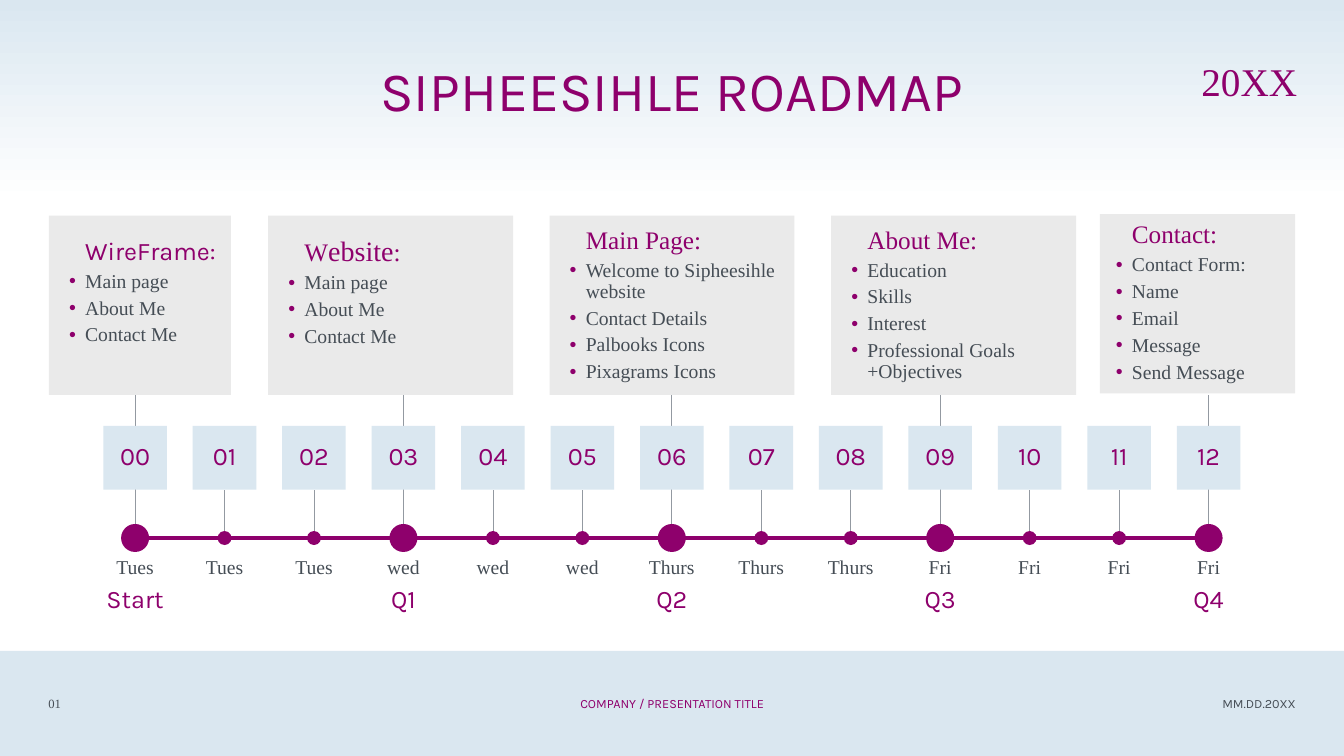
import pptx
import pptx.dml.color
import pptx.enum.shapes
import pptx.enum.text
import pptx.oxml.ns
import pptx.util
from lxml import etree

Pt = pptx.util.Pt
RGB = pptx.dml.color.RGBColor
SHAPE = pptx.enum.shapes.MSO_SHAPE
ALIGN = pptx.enum.text.PP_ALIGN
qn = pptx.oxml.ns.qn

PLUM = RGB(0x8E, 0x00, 0x6C)
SLATE = RGB(0x45, 0x4D, 0x55)
MIST = RGB(0xDA, 0xE7, 0xF0)
SILVER = RGB(0xEA, 0xEA, 0xEA)
STEEL = RGB(0x93, 0x99, 0xA1)
WHITE = RGB(0xFF, 0xFF, 0xFF)
SANS, SERIF = "Karla", "Times New Roman"

WIDTH, HEIGHT = 960, 540
INDENT = 11.5
STEPS = 12
DAYS = ["Tues"] * 3 + ["wed"] * 3 + ["Thurs"] * 3 + ["Fri"] * 4
QUARTERS = ["Start", "Q1", "Q2", "Q3", "Q4"]

# Box (left, top, width, height), heading runs (text, size, font), items,
# left inset and bottom inset
CARDS = [
    ((34.9, 154, 130, 128), [("WireFrame:", 18, SANS)],
     ["Main page", "About Me", "Contact Me"], 14.4, 22),
    ((191.5, 154, 175, 128),
     [("W", 18, SERIF), ("ebsite", 20, SERIF), (":", 18, SERIF)],
     ["Main page", "About Me", "Contact Me"], 14.4, 22),
    ((392.5, 154, 175, 128), [("Main Page:", 18, SERIF)],
     ["Welcome to Sipheesihle website", "Contact Details",
      "Palbooks Icons", "Pixagrams Icons"], 14.4, 3.6),
    ((593.7, 154, 175, 128), [("About Me:", 18, SERIF)],
     ["Education", "Skills", "Interest", "Professional Goals +Objectives"],
     14.4, 3.6),
    ((785.7, 153, 139.5, 128), [("Contact:", 18, SERIF)],
     ["Contact Form:", "Name", "Email", "Message", "Send Message"],
     11.3, 5),
]


def place(part, box):
    """Move a shape or placeholder to a box given in points."""
    part.left, part.top, part.width, part.height = map(Pt, box)


def prepare(part, insets=(0, 0, 0, 0)):
    """Make the text frame wrap, centre vertically and use these insets."""
    frame = part.text_frame
    frame.word_wrap = True
    frame.auto_size = pptx.enum.text.MSO_AUTO_SIZE.NONE
    frame.vertical_anchor = pptx.enum.text.MSO_ANCHOR.MIDDLE
    (frame.margin_left, frame.margin_top,
     frame.margin_right, frame.margin_bottom) = map(Pt, insets)
    return frame


def write(paragraph, text, size=18, font=SANS, color=PLUM,
          align=ALIGN.CENTER, before=0, spacing=0.9):
    """Add a formatted run to a paragraph."""
    paragraph.alignment = align
    paragraph.line_spacing = spacing
    paragraph.space_before = Pt(before)
    run = paragraph.add_run()
    run.text = text
    run.font.size, run.font.name = Pt(size), font
    run.font.bold = False
    run.font.color.rgb = color


def label(slide, box, text, insets=(0, 0, 0, 0), **style):
    """Add a text box holding one line."""
    holder = slide.shapes.add_textbox(*map(Pt, box))
    write(prepare(holder, insets).paragraphs[0], text, **style)


def block(slide, kind, box, color):
    """Add a flat preset shape without outline."""
    part = slide.shapes.add_shape(kind, *map(Pt, box))
    part.shadow.inherit = False
    part.line.fill.background()
    part.fill.solid()
    part.fill.fore_color.rgb = color
    return part


def rule(slide, start, end, color, weight):
    """Draw a straight line without shadow."""
    line = slide.shapes.add_connector(
        pptx.enum.shapes.MSO_CONNECTOR.STRAIGHT, *map(Pt, start + end))
    line.line.color.rgb, line.line.width = color, Pt(weight)
    etree.SubElement(line._element.spPr, qn("a:effectLst"))


def indent(paragraph, bulleted):
    """Set the hanging indent, with a plum bullet if asked."""
    props = paragraph._p.get_or_add_pPr()
    props.set("marL", str(Pt(INDENT)))
    props.set("indent", str(-Pt(INDENT) if bulleted else 0))
    if not bulleted:
        etree.SubElement(props, qn("a:buNone"))
        return
    tint = etree.SubElement(props, qn("a:buClr"))
    etree.SubElement(tint, qn("a:srgbClr"), val=str(PLUM))
    etree.SubElement(props, qn("a:buFont"), typeface="Arial")
    etree.SubElement(props, qn("a:buChar"), char="\u2022")


def header(slide, box):
    """Fill the gradient band with the title and the year."""
    left, top, width, height = box
    band = block(slide, SHAPE.RECTANGLE, box, MIST)
    band.fill.gradient()
    band.fill.gradient_angle = 270
    for stop, color, position in zip(band.fill.gradient_stops,
                                     (MIST, WHITE), (0, 1)):
        stop.color.rgb, stop.position = color, position
    title = slide.shapes.title
    slide.shapes._spTree.append(title._element)
    place(title, (left + 120, top + 40, width - 240, 54))
    write(prepare(title).paragraphs[0], "SIPHEESIHLE ROADMAP", size=39.6)
    label(slide, (left + width - 109, top + 38, 75.5, 43), "20XX",
          size=28, font=SERIF, align=ALIGN.RIGHT)


def card(part, box, heading, items, inset_left, inset_bottom):
    """Turn a text holder into a grey card with heading and bullets."""
    place(part, box)
    part.fill.solid()
    part.fill.fore_color.rgb = SILVER
    frame = prepare(part, (inset_left, 3.6, 7.2, inset_bottom))
    for text, size, font in heading:
        write(frame.paragraphs[0], text, size=size, font=font,
              align=ALIGN.LEFT, before=4)
    indent(frame.paragraphs[0], False)
    for item in items:
        paragraph = frame.add_paragraph()
        write(paragraph, item, size=14, font=SERIF, color=SLATE,
              align=ALIGN.LEFT, before=4)
        indent(paragraph, True)


def timeline(slide, box):
    """Draw the axis, numbered tiles, dots, days and quarters in a box."""
    left, top, width, _ = box
    axis = top + 102.3
    rule(slide, (left, axis), (left + width, axis), PLUM, 2.84)
    for step, day in enumerate(DAYS):
        x = left + step * width / STEPS
        major = step % 3 == 0
        radius = 10 if major else 5
        rule(slide, (x, axis), (x, top if major else top + 68), STEEL, 0.5)
        block(slide, SHAPE.OVAL,
              (x - radius, axis - radius, 2 * radius, 2 * radius), PLUM)
        tile = block(slide, SHAPE.RECTANGLE,
                     (x - 22.7, top + 22.3, 45.4, 45.4), MIST)
        write(prepare(tile).paragraphs[0], f"{step:02}")
        label(slide, (x - 26, axis + 11, 52, 21), day,
              size=14, font=SERIF, color=SLATE)
        if major:
            label(slide, (x - 26, axis + 34, 52, 21), QUARTERS[step // 3])


def footer(slide, box):
    """Fill the bottom band with page number, deck title and date."""
    left, top, width, height = box
    block(slide, SHAPE.RECTANGLE, box, MIST)
    for text, font, color, align in (
            ("01", SERIF, SLATE, ALIGN.LEFT),
            ("COMPANY / PRESENTATION TITLE", SANS, PLUM, ALIGN.CENTER),
            ("MM.DD.20XX", SANS, SLATE, ALIGN.RIGHT)):
        label(slide, (left + 34.5, top + 23, width - 69, 29), text, size=9,
              font=font, color=color, align=align, spacing=1)


def main():
    """Build the roadmap slide and save it."""
    deck = pptx.Presentation()
    deck.slide_width, deck.slide_height = Pt(WIDTH), Pt(HEIGHT)
    slide = deck.slides.add_slide(deck.slide_layouts.get_by_name("Comparison"))
    holders = [part for part in slide.placeholders
               if part.placeholder_format.idx > 0]
    holders.append(slide.shapes.add_textbox(*map(Pt, CARDS[-1][0])))
    header(slide, (0, 0, WIDTH, 144))
    for holder, details in zip(holders, CARDS):
        card(holder, *details)
    timeline(slide, (96.5, 282, 766.8, 160))
    footer(slide, (0, 465, WIDTH, 75))
    deck.save("out.pptx")


main()
